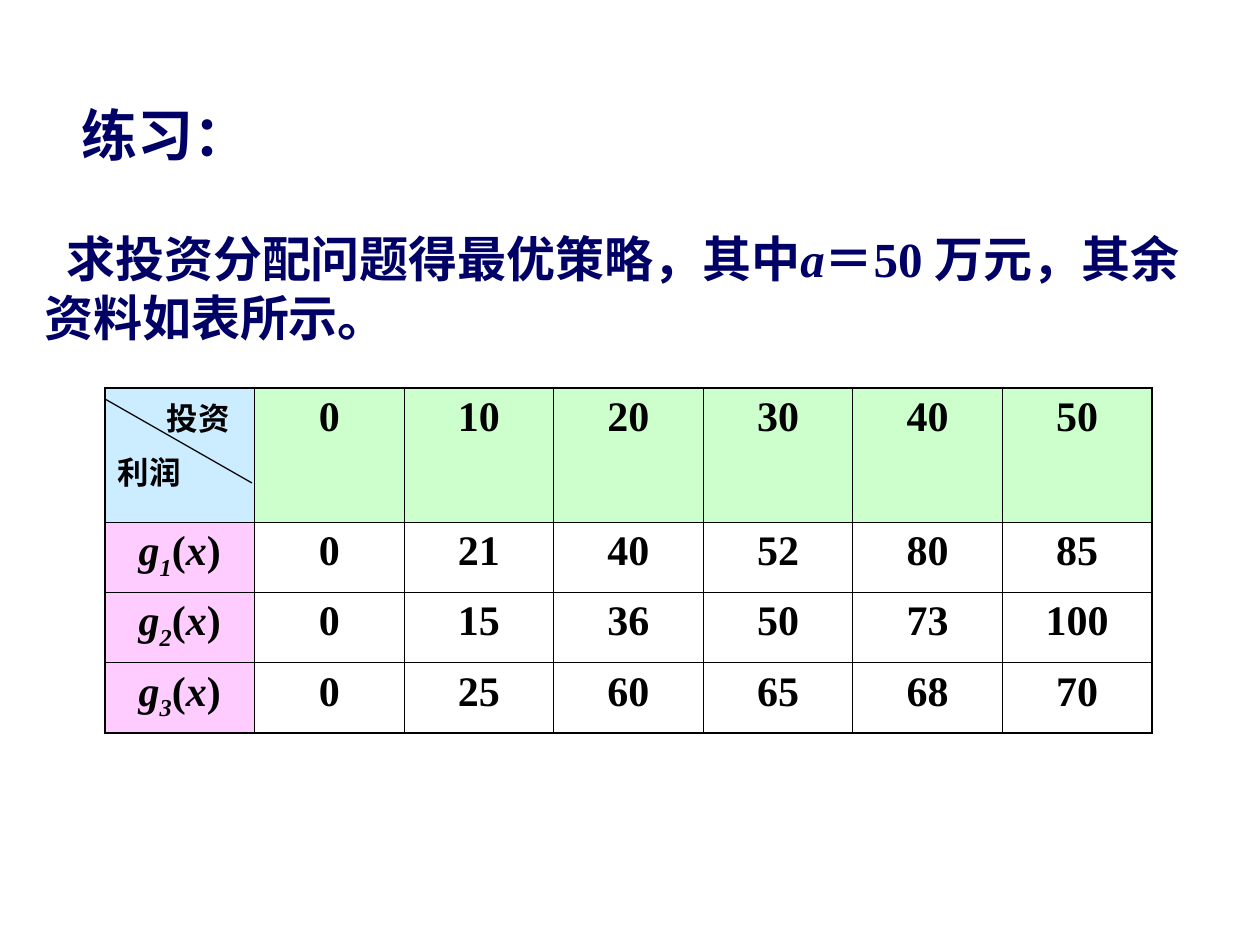
from lxml import etree
from pptx import Presentation
from pptx.dml.color import RGBColor
from pptx.enum.lang import MSO_LANGUAGE_ID
from pptx.enum.shapes import MSO_CONNECTOR
from pptx.enum.text import PP_ALIGN
from pptx.oxml.ns import qn
from pptx.util import Pt

STRAIGHT = MSO_CONNECTOR.STRAIGHT
CENTER = PP_ALIGN.CENTER
CHINESE = MSO_LANGUAGE_ID.SIMPLIFIED_CHINESE
PX = 914400 // 126

THEME = {
    "font": "Times New Roman",
    "navy": "000066", "black": "000000", "white": "FFFFFF",
    "blue": "CCECFF", "green": "CCFFCC", "pink": "FFCCFF",
    "title": 32, "body": 28, "cell": 24, "corner": 18,
    "thin": 0.45, "thick": 1.08, "slash": 0.75,
}


def style(para, size, color):
    for run in para.runs:
        font = run.font
        font.name = THEME["font"]
        font.size = Pt(THEME[size])
        font.bold = True
        font.color.rgb = RGBColor.from_string(THEME[color])
        font.language_id = CHINESE


def edge(cell, side, width):
    """Draw one border; borders must come before the cell's fill."""
    line = etree.SubElement(cell._tc.get_or_add_tcPr(), qn("a:" + side),
                            w=str(Pt(THEME[width])))
    fill = etree.SubElement(line, qn("a:solidFill"))
    etree.SubElement(fill, qn("a:srgbClr"), val=THEME["black"])


prs = Presentation()
prs.slide_width, prs.slide_height = 1260 * PX, 945 * PX
slide = prs.slides.add_slide(prs.slide_layouts[6])
shapes = slide.shapes

# Exercise text
box = shapes.add_textbox(32 * PX, 94 * PX, 1197 * PX, 257 * PX)
frame = box.text_frame
frame.word_wrap = True
title = frame.paragraphs[0]
title.text = "练习："
title._p.get_or_add_pPr().set("indent", str(37 * PX))
style(title, "title", "navy")

task = frame.add_paragraph()
for part in ("求投资分配问题得最优策略，其中", "a", "＝50 万元，其余资料如表所示。"):
    run = task.add_run()
    run.text = part
    run.font.italic = part == "a"
task.space_before = Pt(35)
task._p.get_or_add_pPr().set("indent", str(22 * PX))
style(task, "body", "navy")

# Profit table
DATA = [
    [0, 10, 20, 30, 40, 50],
    [0, 21, 40, 52, 80, 85],
    [0, 15, 36, 50, 73, 100],
    [0, 25, 60, 65, 68, 70],
]
rows, cols = len(DATA), len(DATA[0]) + 1
table = shapes.add_table(rows, cols, 105 * PX, 388 * PX,
                         1047 * PX, 345 * PX).table
table.first_row = table.horz_banding = False
for col in table.columns:
    col.width = 1047 * PX // cols
for r, row in enumerate(table.rows):
    row.height = 134 * PX if r == 0 else 211 * PX // 3

for r in range(rows):
    for c in range(cols):
        cell = table.cell(r, c)
        outer = {"lnL": c == 0, "lnR": c == cols - 1,
                 "lnT": r == 0, "lnB": r == rows - 1}
        for side, rim in outer.items():
            edge(cell, side, "thick" if rim else "thin")
        if r == 0:
            tint = "green" if c else "blue"
        else:
            tint = "white" if c else "pink"
        cell.fill.solid()
        cell.fill.fore_color.rgb = RGBColor.from_string(THEME[tint])

        para = cell.text_frame.paragraphs[0]
        if c:
            para.text = str(DATA[r][c - 1])
        elif r:
            for part in ("g", str(r), "(", "x", ")"):
                run = para.add_run()
                run.text = part
                run.font.italic = part not in "()"
                if part == str(r):
                    run.font._element.set("baseline", "-25000")
        else:
            para.text = "投资"
            para._p.get_or_add_pPr().set("indent", str(49 * PX))
            style(para, "corner", "black")
            para = cell.text_frame.add_paragraph()
            para.text = "利润"
            para.space_before = Pt(4.5)
            style(para, "corner", "black")
            continue
        para.alignment = CENTER
        style(para, "cell", "black")

# Slash through the corner cell
slash = shapes.add_connector(STRAIGHT, 252 * PX, 483 * PX, 105 * PX, 399 * PX)
slash.line.color.rgb = RGBColor.from_string(THEME["black"])
slash.line.width = Pt(THEME["slash"])
etree.SubElement(slash._element.spPr, qn("a:effectLst"))

prs.save("out.pptx")
